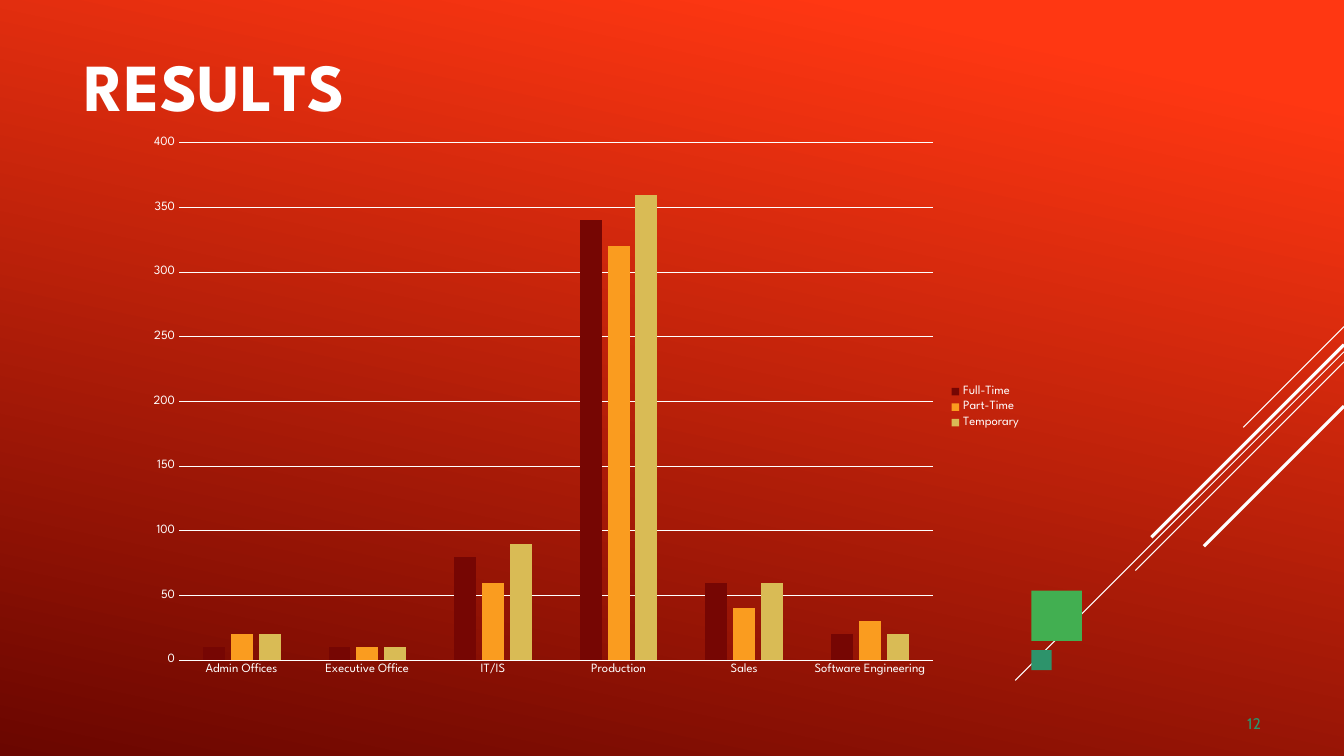
from dataclasses import dataclass

from lxml import etree
from pptx import Presentation
from pptx.chart.data import CategoryChartData
from pptx.dml.color import RGBColor
from pptx.enum.chart import XL_CHART_TYPE, XL_LEGEND_POSITION, XL_TICK_MARK
from pptx.enum.shapes import MSO_CONNECTOR, MSO_SHAPE
from pptx.enum.text import MSO_ANCHOR, MSO_AUTO_SIZE
from pptx.oxml.ns import qn
from pptx.util import Inches, Pt

COLUMNS = XL_CHART_TYPE.COLUMN_CLUSTERED
LEGEND_RIGHT = XL_LEGEND_POSITION.RIGHT
NO_TICK = XL_TICK_MARK.NONE
STRAIGHT = MSO_CONNECTOR.STRAIGHT
RECTANGLE = MSO_SHAPE.RECTANGLE
TOP, MIDDLE = MSO_ANCHOR.TOP, MSO_ANCHOR.MIDDLE
GROW = MSO_AUTO_SIZE.SHAPE_TO_FIT_TEXT

SLIDE_W, SLIDE_H = 13.33, 7.5


@dataclass(frozen=True)
class Theme:
    white: str = "FFFFFF"
    bright: str = "FF3712"
    dark: str = "6A0600"
    green: str = "42AF51"
    teal: str = "2D936B"
    series: tuple = ("760603", "FA9C1F", "D9BB55")
    heading_font: str = "League Spartan"
    number_font: str = "Cabin"
    title_size: float = 48
    number_size: float = 11
    chart_size: float = 9
    thin: float = 0.75
    thick: float = 2.25


class SlideBuilder:
    def __init__(self, slide, theme):
        self.s = slide
        self.theme = theme

    def background(self, angle):
        fill = self.s.background.fill
        fill.gradient()
        fill.gradient_angle = 360 - angle
        stops = ((0.1, self.theme.bright), (1, self.theme.dark))
        for stop, (position, color) in zip(fill.gradient_stops, stops):
            stop.position = position
            stop.color.rgb = RGBColor.from_string(color)

    def style_line(self, line, width):
        line.color.rgb = RGBColor.from_string(self.theme.white)
        line.width = Pt(width)

    def diagonals(self, lines):
        group = self.s.shapes.add_group_shape()
        for top, length, width in lines:
            sp = group.shapes.add_connector(
                STRAIGHT, Inches(SLIDE_W), Inches(top),
                Inches(SLIDE_W - length), Inches(top + length))
            self.style_line(sp.line, width)
            etree.SubElement(sp._element.spPr, qn("a:effectLst"))

    def square(self, left, top, side, color):
        sp = self.s.shapes.add_shape(
            RECTANGLE, Inches(left), Inches(top), Inches(side), Inches(side))
        sp.shadow.inherit = False
        sp.fill.solid()
        sp.fill.fore_color.rgb = RGBColor.from_string(color)
        sp.line.fill.background()

    def text(self, box, pieces, font, size, color, bold=False, anchor=TOP,
             indent=0.01, space_before=0):
        tf = self.s.shapes.add_textbox(*map(Inches, box)).text_frame
        tf.word_wrap = True
        tf.auto_size = GROW
        tf.vertical_anchor = anchor
        tf.margin_left = Inches(indent)
        tf.margin_top = Inches(0.01)
        tf.margin_right = tf.margin_bottom = 0
        p = tf.paragraphs[0]
        p.space_before = Pt(space_before)
        for letters, spacing in pieces:
            r = p.add_run()
            r.text = letters
            r.font.name = font
            r.font.size = Pt(size)
            r.font.bold = bold
            r.font.color.rgb = RGBColor.from_string(color)
            r._r.get_or_add_rPr().set("spc", str(round(spacing * 100)))

    def column_chart(self, box, categories, series, plot):
        data = CategoryChartData()
        data.categories = categories
        for name, values in series:
            data.add_series(name, values)
        chart = self.s.shapes.add_chart(COLUMNS, *map(Inches, box), data).chart
        chart.has_title = False
        chart.font.name = self.theme.heading_font
        chart.font.size = Pt(self.theme.chart_size)
        chart.font.color.rgb = RGBColor.from_string(self.theme.white)
        chart.has_legend = True
        chart.legend.position = LEGEND_RIGHT
        chart.legend.include_in_layout = False

        bars = chart.plots[0]
        bars.gap_width = 219
        bars.overlap = -27
        bars.vary_by_categories = False
        for ser, color in zip(bars.series, self.theme.series):
            ser.format.fill.solid()
            ser.format.fill.fore_color.rgb = RGBColor.from_string(color)

        for axis in (chart.category_axis, chart.value_axis):
            axis.major_tick_mark = axis.minor_tick_mark = NO_TICK
        self.style_line(chart.category_axis.format.line, self.theme.thin)
        values_axis = chart.value_axis
        values_axis.minimum_scale = 0
        values_axis.maximum_scale = 400
        values_axis.major_unit = 50
        values_axis.format.line.fill.background()
        values_axis.has_major_gridlines = True
        self.style_line(values_axis.major_gridlines.format.line, self.theme.thin)
        self.place_plot(chart, plot)

    def place_plot(self, chart, plot):
        area = chart._chartSpace.find(".//" + qn("c:plotArea"))
        for old in area.findall(qn("c:layout")):
            area.remove(old)
        layout = etree.Element(qn("c:layout"))
        area.insert(0, layout)
        manual = etree.SubElement(layout, qn("c:manualLayout"))
        settings = [("layoutTarget", "inner"), ("xMode", "edge"), ("yMode", "edge")]
        settings += zip("xywh", plot)
        for tag, value in settings:
            etree.SubElement(manual, qn("c:" + tag)).set("val", str(value))


def main():
    prs = Presentation()
    prs.slide_width, prs.slide_height = Inches(SLIDE_W), Inches(SLIDE_H)
    theme = Theme()
    slide = SlideBuilder(prs.slides.add_slide(prs.slide_layouts[6]), theme)

    slide.background(102)
    slide.diagonals([
        (3.24, 1, theme.thin),
        (3.49, 3.26, theme.thin),
        (3.59, 2.07, theme.thin),
        (3.42, 1.91, theme.thick),
        (4.03, 1.39, theme.thick),
    ])
    slide.square(10.23, 5.86, 0.5, theme.green)
    slide.square(10.23, 6.45, 0.2, theme.teal)
    slide.text(
        (0.83, 0.42, 2.67, 0.82),
        [("R", 0), ("E", -0.4), ("S", 0.1), ("U", -0.3), ("L", -4), ("TS", 0)],
        theme.heading_font, theme.title_size, theme.white,
        bold=True, anchor=MIDDLE, space_before=1.1)
    slide.text(
        (12.33, 7.07, 0.25, 0.21), [("12", 0.1)],
        theme.number_font, theme.number_size, theme.teal,
        indent=0.04, space_before=0.6)
    slide.column_chart(
        (1.33, 1.25, 8.9, 5.58),
        ["Admin Offices", "Executive Office", "IT/IS", "Production", "Sales",
         "Software Engineering"],
        [("Full-Time", (10, 10, 80, 340, 60, 20)),
         ("Part-Time", (20, 10, 60, 320, 40, 30)),
         ("Temporary", (20, 10, 90, 360, 60, 20))],
        plot=(0.05, 0.03, 0.84, 0.92))
    prs.save("out.pptx")


if __name__ == "__main__":
    main()
